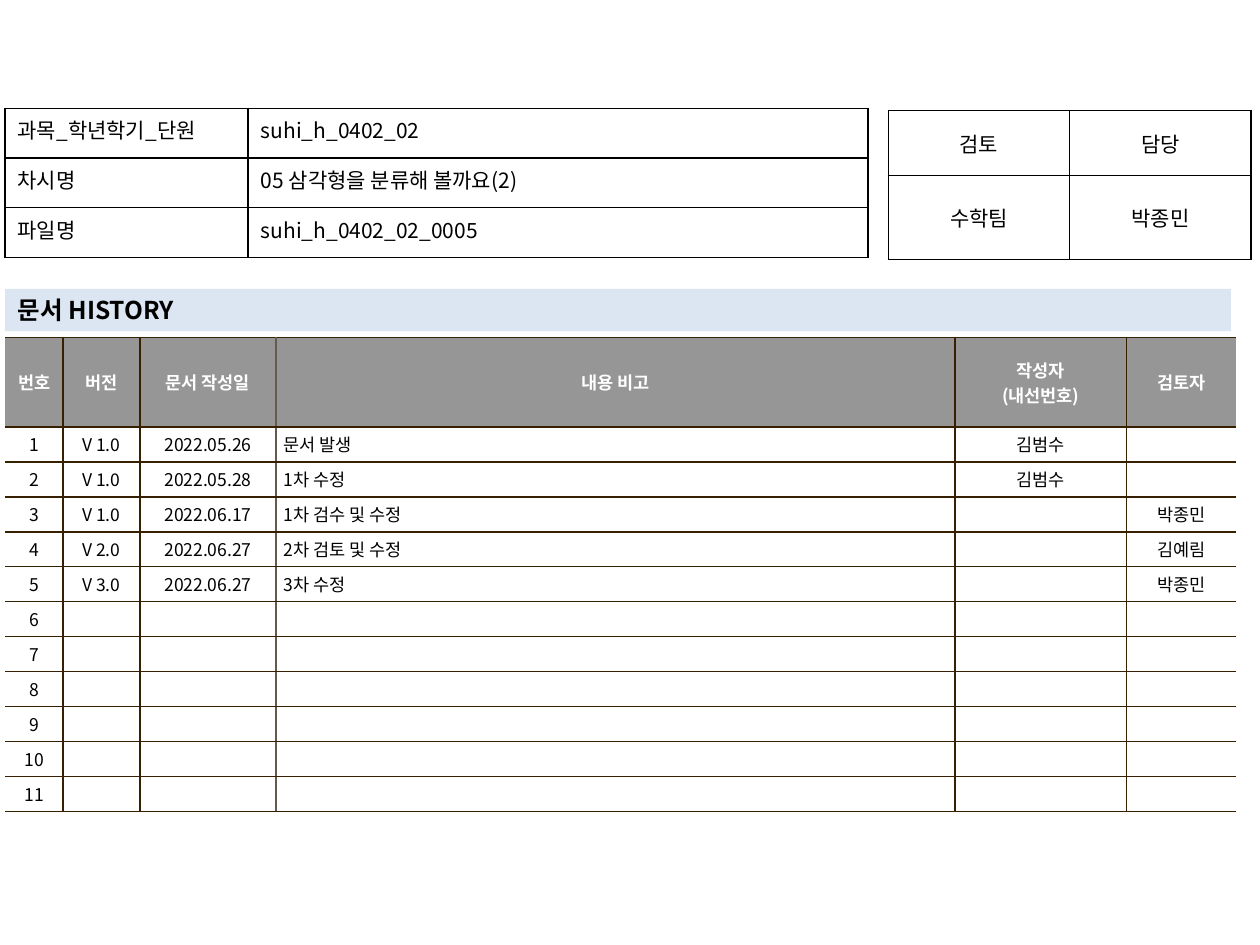
from lxml import etree
from pptx import Presentation
from pptx.dml.color import RGBColor
from pptx.enum.text import MSO_ANCHOR, PP_ALIGN
from pptx.oxml.ns import qn
from pptx.util import Pt

FONT = "Noto Sans CJK KR"
BLACK = RGBColor(0x00, 0x00, 0x00)
WHITE = RGBColor(0xFF, 0xFF, 0xFF)
GRAY = RGBColor(0x96, 0x96, 0x96)
PALE_BLUE = RGBColor(0xDC, 0xE6, 0xF2)
BROWN = RGBColor(0x36, 0x20, 0x00)
LIGHT_BROWN = RGBColor(0x64, 0x5B, 0x4C)

INFO = [
    ["과목_학년학기_단원", "suhi_h_0402_02"],
    ["차시명", "05 삼각형을 분류해 볼까요(2)"],
    ["파일명", "suhi_h_0402_02_0005"],
]
REVIEW = [["검토", "담당"], ["수학팀", "박종민"]]
HEADINGS = ["번호", "버전", "문서 작성일", "내용 비고", "작성자\n(내선번호)", "검토자"]
REVISIONS = [
    ["V 1.0", "2022.05.26", "문서 발생", "김범수", ""],
    ["V 1.0", "2022.05.28", "1차 수정", "김범수", ""],
    ["V 1.0", "2022.06.17", "1차 검수 및 수정", "", "박종민"],
    ["V 2.0", "2022.06.27", "2차 검토 및 수정", "", "김예림"],
    ["V 3.0", "2022.06.27", "3차 수정", "", "박종민"],
]
LAST_NUMBER = 11


def write(frame, text, size, color, align, bold=False):
    frame.text = text
    for paragraph in frame.paragraphs:
        paragraph.alignment = align
        for run in paragraph.runs:
            font = run.font
            font.name, font.size, font.bold = FONT, Pt(size), bold
            font.color.rgb = color
            etree.SubElement(font._element, qn("a:ea"), typeface=FONT)
        if not paragraph.runs:
            # Empty cells keep the text size so that rows stay low
            etree.SubElement(paragraph._p, qn("a:endParaRPr"), sz=str(size * 100))


def set_borders(cell, colors):
    """Draw 1 pt borders; colors maps L, R, T, B to a colour or None."""
    properties = cell._tc.get_or_add_tcPr()
    for side in "LRTB":
        line = etree.SubElement(properties, qn(f"a:ln{side}"), w=str(Pt(1)))
        if colors[side] is None:
            etree.SubElement(line, qn("a:noFill"))
        else:
            fill = etree.SubElement(line, qn("a:solidFill"))
            etree.SubElement(fill, qn("a:srgbClr"), val=str(colors[side]))


def add_grid(slide, box, widths, heights):
    """Add a plain table without banding, with the given tracks."""
    table = slide.shapes.add_table(len(heights), len(widths), *map(Pt, box)).table
    table.first_row = table.horz_banding = False
    for column, width in zip(table.columns, widths):
        column.width = Pt(width)
    for row, height in zip(table.rows, heights):
        row.height = Pt(height)
    return table


def add_form(slide, box, widths, heights, rows, aligns, anchor):
    """Black-ruled form table without fill."""
    table = add_grid(slide, box, widths, heights)
    for r, row in enumerate(rows):
        for c, text in enumerate(row):
            cell = table.cell(r, c)
            write(cell.text_frame, text, 12, BLACK, aligns[c])
            cell.vertical_anchor = anchor
            set_borders(cell, dict.fromkeys("LRTB", BLACK))
            cell.fill.background()


def add_heading(slide, box):
    """Section heading in the title placeholder."""
    title = slide.shapes.title
    title.left, title.top, title.width, title.height = map(Pt, box)
    title.fill.solid()
    title.fill.fore_color.rgb = PALE_BLUE
    title.text_frame.vertical_anchor = MSO_ANCHOR.MIDDLE
    write(title.text_frame, "문서 HISTORY", 14, BLACK, PP_ALIGN.LEFT, bold=True)


def add_history(slide, box):
    """Revision table: open left and right, lighter rule before the notes."""
    notes = HEADINGS.index("내용 비고")
    last = len(HEADINGS) - 1
    rows = [HEADINGS]
    for number in range(1, LAST_NUMBER + 1):
        revision = REVISIONS[number - 1] if number <= len(REVISIONS) else [""] * last
        rows.append([str(number)] + revision)

    table = add_grid(slide, box, [33.12, 43.92, 77.76, 388.08, 97.92, 62.64],
                     [51.12] + [18] * LAST_NUMBER)
    rules = [None, BROWN, BROWN, LIGHT_BROWN, BROWN, BROWN, None]
    for r, row in enumerate(rows):
        header = r == 0
        for c, text in enumerate(row):
            cell = table.cell(r, c)
            align = PP_ALIGN.LEFT if c == notes and not header else PP_ALIGN.CENTER
            write(cell.text_frame, text, 10, WHITE if header else BLACK, align, header)
            cell.vertical_anchor = MSO_ANCHOR.MIDDLE
            cell.margin_left = cell.margin_right = Pt(4.5)
            cell.margin_top = cell.margin_bottom = Pt(2.8)
            set_borders(cell, {"L": rules[c], "R": rules[c + 1], "T": BROWN, "B": BROWN})
            cell.fill.solid()
            cell.fill.fore_color.rgb = GRAY if header else WHITE


prs = Presentation()
prs.slide_width, prs.slide_height = Pt(720), Pt(540)
slide = prs.slides.add_slide(prs.slide_layouts[5])

add_history(slide, (2.88, 192.8, 703.44, 249.12))
add_form(slide, (507.6, 63.2, 207.36, 85), [103.68] * 2, [37.2, 47.8], REVIEW,
         [PP_ALIGN.CENTER] * 2, MSO_ANCHOR.MIDDLE)
add_heading(slide, (2.88, 165, 700.56, 24.2))
add_form(slide, (2.88, 61.9, 493.2, 85.2), [138.96, 354.24], [28.4] * 3, INFO,
         [PP_ALIGN.JUSTIFY, PP_ALIGN.LEFT], MSO_ANCHOR.TOP)

prs.save("out.pptx")
